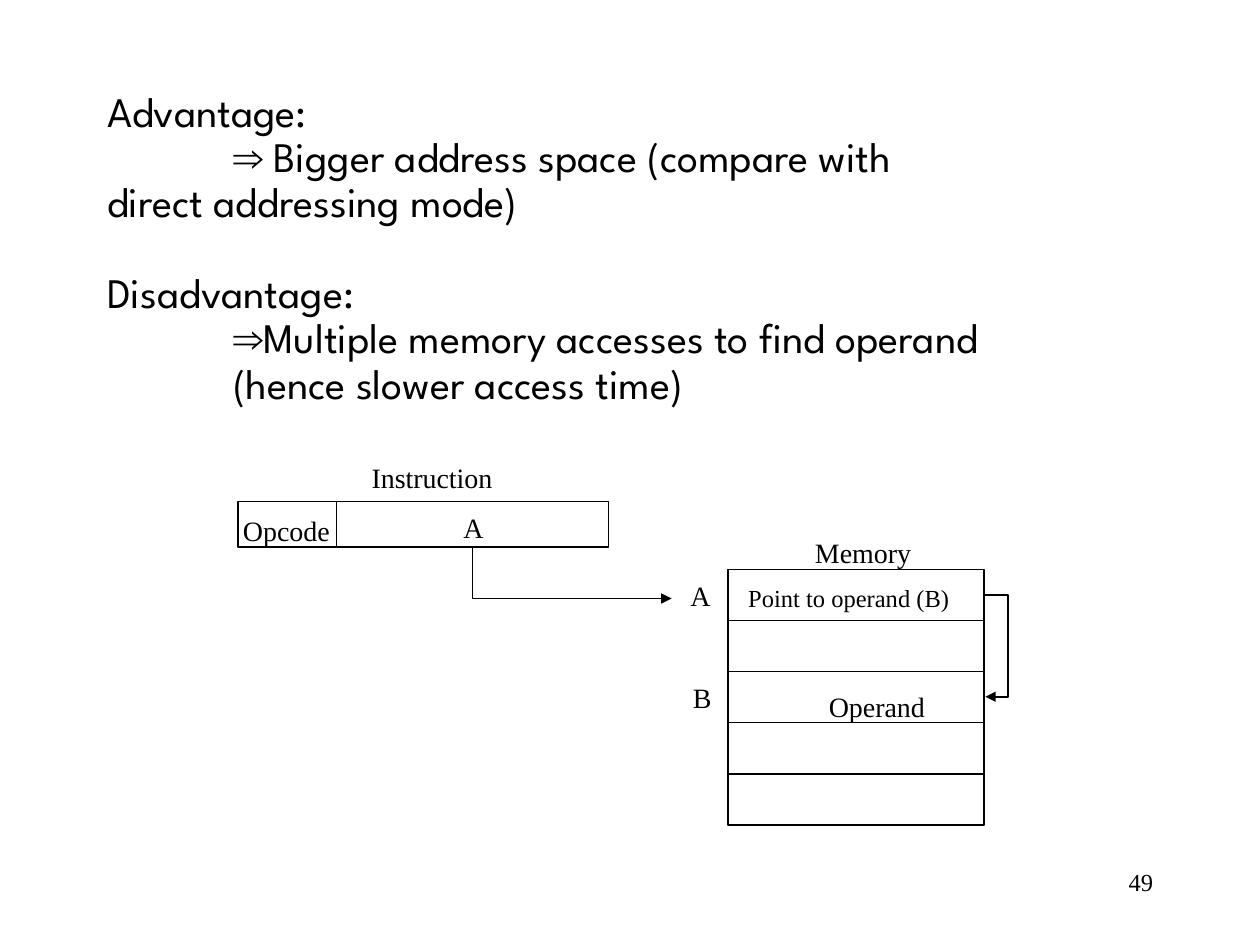
from dataclasses import dataclass

from lxml.etree import SubElement
from pptx import Presentation
from pptx.dml.color import RGBColor
from pptx.enum.text import MSO_AUTO_SIZE, PP_ALIGN
from pptx.enum.shapes import MSO_CONNECTOR, MSO_SHAPE
from pptx.oxml.ns import qn
from pptx.util import Inches, Pt


@dataclass(frozen=True)
class Theme:
    ink: RGBColor = RGBColor(0, 0, 0)
    body_font: str = "League Spartan"
    symbol_font: str = "Arial"
    label_font: str = "Times New Roman"
    body_size: int = 24
    label_size: int = 16
    small_size: int = 14
    line_width: int = 1
    line_spacing: float = 0.9
    section_gap: int = 26


THEME = Theme()

# Content: heading, lines of the point, left margin and first-line indent
POINTS = [
    ("Advantage:",
     [" Bigger address space (compare with", "direct addressing mode)"], 0, 1),
    ("Disadvantage:",
     ["Multiple memory accesses to find operand", "(hence slower access time)"], 1, 0),
]
ARROW = "⇒"
BODY_BOX = (0.75, 0.67, 8.58, 2.62)

# Diagram: instruction word and memory cells
INSTRUCTION = (1.89, 3.98, 2.94, 0.36)
OPCODE_EDGE = 2.67
MEMORY_LEFT, MEMORY_TOP, MEMORY_WIDTH = 5.78, 4.52, 2.03
CELL_HEIGHT, CELL_COUNT = 0.405, 5
POINTERS = [
    [(3.75, 4.34), (3.75, 4.75), (5.33, 4.75)],
    [(7.82, 4.72), (8, 4.72), (8, 5.53), (7.82, 5.53)],
]
LABELS = [  # text, left, top, width, size
    ("Instruction", 2.85, 3.61, 1.21, THEME.label_size),
    ("Opcode", 1.83, 4.03, 0.92, THEME.label_size),
    ("A", 3.58, 4.0, 0.38, THEME.label_size),
    ("Memory", 6.37, 4.2, 1.0, THEME.label_size),
    ("Point to operand (B)", 5.84, 4.58, 1.84, THEME.small_size),
    ("Operand", 6.48, 5.42, 1.0, THEME.label_size),
    ("A", 5.38, 4.54, 0.38, THEME.label_size),
    ("B", 5.4, 5.35, 0.38, THEME.label_size),
]
PAGE_NUMBER = ("49", 7.17, 6.83, 2.08, THEME.small_size)


def format_run(run, font, size):
    run.font.name = font
    run.font.size = Pt(size)
    run.font.color.rgb = THEME.ink


def style_outline(shape):
    shape.shadow.inherit = False
    shape.fill.background()
    shape.line.color.rgb = THEME.ink
    shape.line.width = Pt(THEME.line_width)


def add_label(slide, text, left, top, width, size, align=PP_ALIGN.LEFT):
    box = slide.shapes.add_textbox(Inches(left), Inches(top), Inches(width), Inches(0.36))
    box.text_frame.word_wrap = True
    box.text_frame.auto_size = MSO_AUTO_SIZE.SHAPE_TO_FIT_TEXT
    paragraph = box.text_frame.paragraphs[0]
    paragraph.text = text
    paragraph.alignment = align
    format_run(paragraph.runs[0], THEME.label_font, size)


def add_box(slide, left, top, width, height):
    shape = slide.shapes.add_shape(
        MSO_SHAPE.RECTANGLE, Inches(left), Inches(top), Inches(width), Inches(height))
    style_outline(shape)


def add_pointer(slide, points):
    corners = [(Inches(x), Inches(y)) for x, y in points]
    builder = slide.shapes.build_freeform(*corners[0])
    builder.add_line_segments(corners[1:], close=False)
    shape = builder.convert_to_shape()
    style_outline(shape)
    SubElement(shape.element.spPr.find(qn("a:ln")), qn("a:tailEnd"), type="triangle")


def format_paragraph(paragraph, margin=0, indent=0, space_before=0):
    properties = paragraph._p.get_or_add_pPr()
    properties.set("marL", str(Inches(margin)))
    properties.set("indent", str(Inches(indent)))
    SubElement(properties, qn("a:buNone"))
    paragraph.line_spacing = THEME.line_spacing
    paragraph.space_before = Pt(space_before)


def fill_body(body):
    body.left, body.top, body.width, body.height = map(Inches, BODY_BOX)
    frame = body.text_frame
    frame.word_wrap = True
    frame.auto_size = MSO_AUTO_SIZE.NONE
    for index, (heading, lines, margin, indent) in enumerate(POINTS):
        paragraph = frame.add_paragraph() if index else frame.paragraphs[0]
        paragraph.text = heading
        format_paragraph(paragraph, space_before=THEME.section_gap if index else 0)
        format_run(paragraph.runs[0], THEME.body_font, THEME.body_size)

        paragraph = frame.add_paragraph()
        format_paragraph(paragraph, margin, indent)
        run = paragraph.add_run()
        run.text = ARROW
        format_run(run, THEME.symbol_font, THEME.body_size)
        for number, line in enumerate(lines):
            if number:
                paragraph.add_line_break()
            run = paragraph.add_run()
            run.text = line
            format_run(run, THEME.body_font, THEME.body_size)


def main():
    presentation = Presentation()
    presentation.slide_width, presentation.slide_height = Inches(10), Inches(7.5)
    slide = presentation.slides.add_slide(presentation.slide_layouts[1])

    # Advantage and disadvantage text; the slide has no title
    title = slide.shapes.title.element
    title.getparent().remove(title)
    fill_body(slide.placeholders[1])

    # Instruction word, split into opcode and address
    add_box(slide, *INSTRUCTION)
    top, height = INSTRUCTION[1], INSTRUCTION[3]
    divider = slide.shapes.add_connector(
        MSO_CONNECTOR.STRAIGHT, Inches(OPCODE_EDGE), Inches(top),
        Inches(OPCODE_EDGE), Inches(top + height))
    divider.line.color.rgb = THEME.ink
    divider.line.width = Pt(THEME.line_width)
    SubElement(divider.element.spPr, qn("a:effectLst"))

    # Memory cells
    for row in range(CELL_COUNT):
        add_box(slide, MEMORY_LEFT, MEMORY_TOP + row * CELL_HEIGHT, MEMORY_WIDTH, CELL_HEIGHT)

    # Pointers, labels and page number
    for points in POINTERS:
        add_pointer(slide, points)
    for label in LABELS:
        add_label(slide, *label)
    add_label(slide, *PAGE_NUMBER, align=PP_ALIGN.RIGHT)

    presentation.save("out.pptx")


if __name__ == "__main__":
    main()
